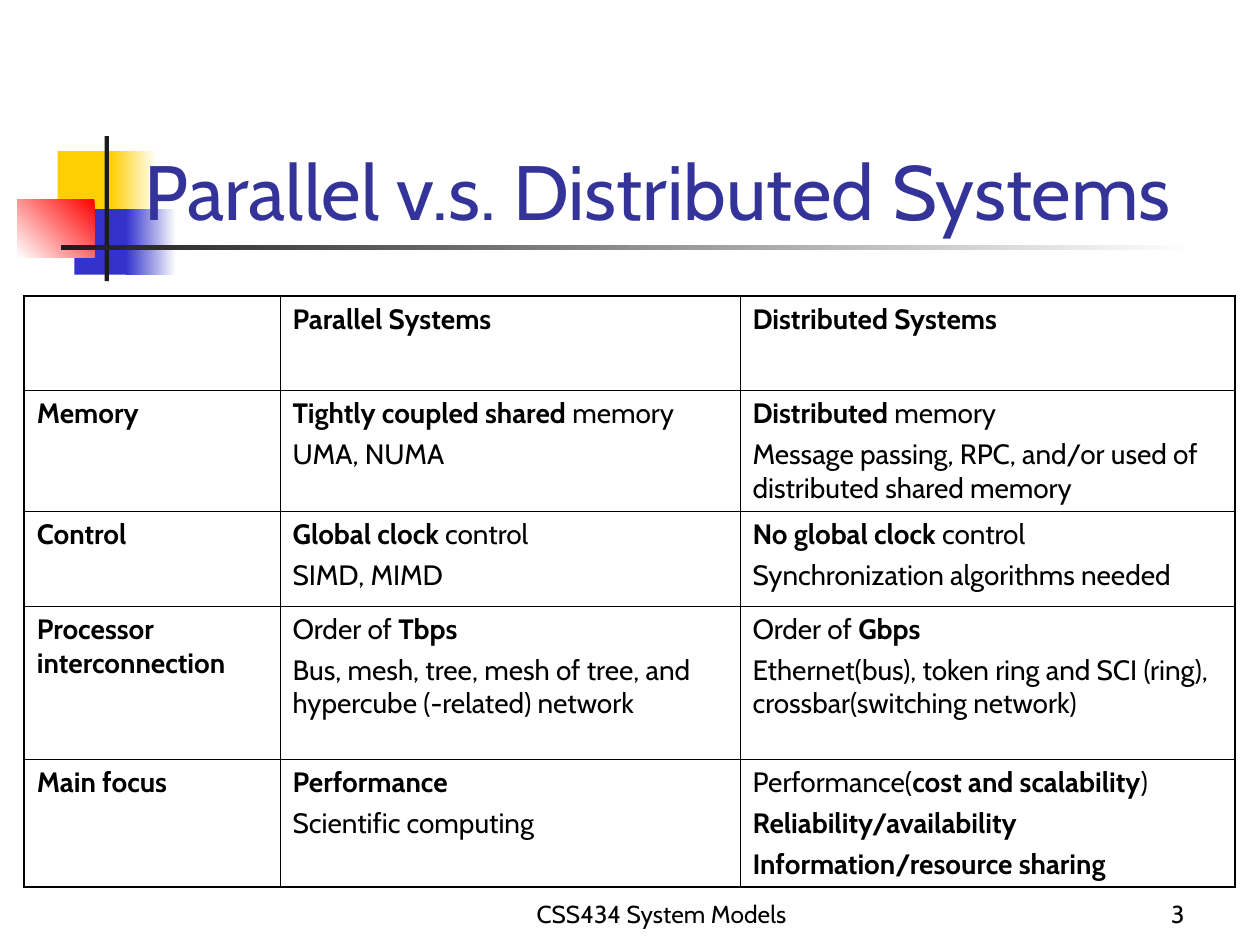
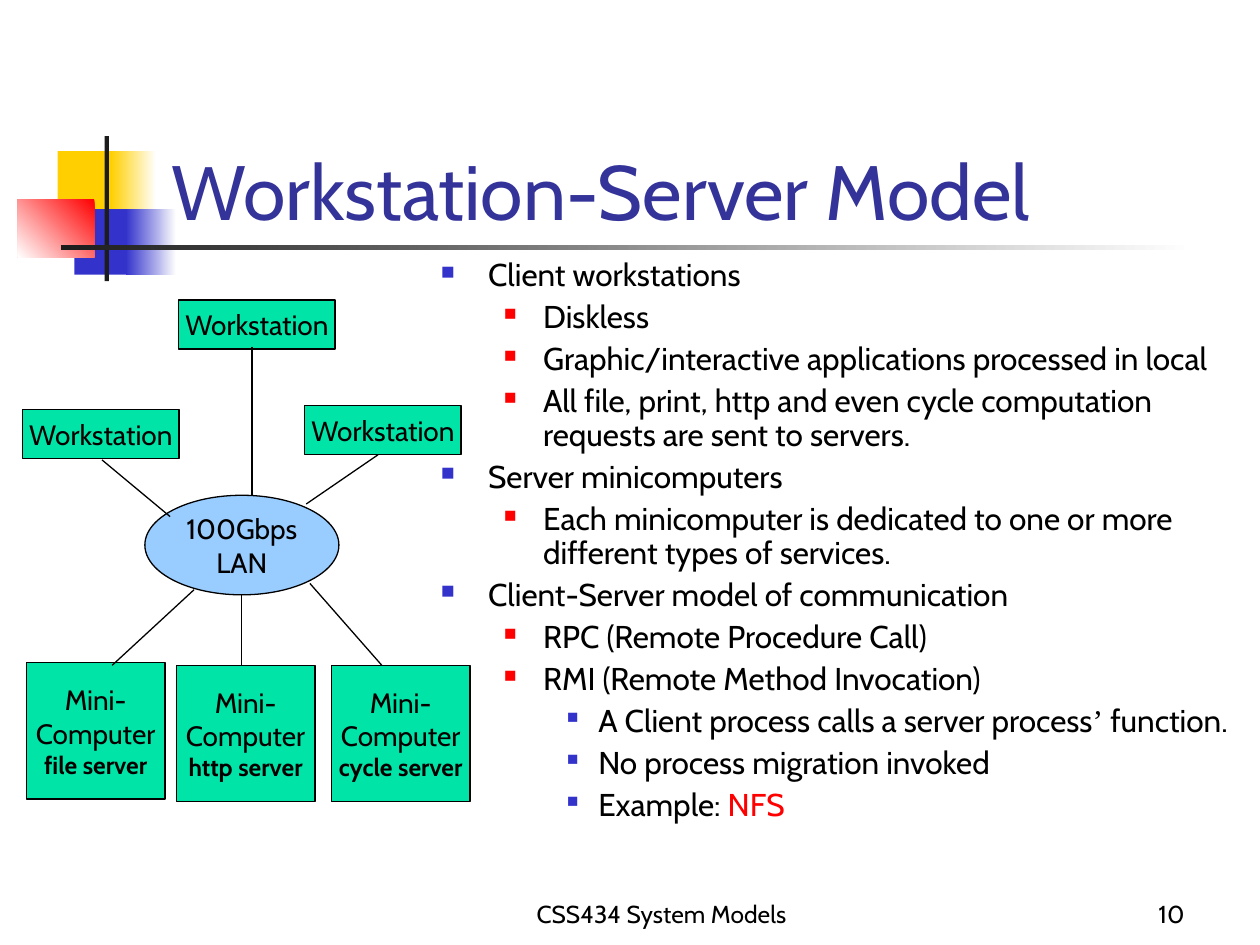
from dataclasses import dataclass
from functools import reduce

from lxml.etree import SubElement
from pptx import Presentation
from pptx.dml.color import RGBColor as RGB
from pptx.enum.shapes import MSO_CONNECTOR as Line, MSO_SHAPE as Preset
from pptx.enum.text import MSO_ANCHOR as Anchor, MSO_AUTO_SIZE as AutoSize, PP_ALIGN as Align
from pptx.oxml import parse_xml
from pptx.oxml.ns import nsdecls, qn
from pptx.util import Pt


@dataclass(frozen=True)
class Theme:
    font: str = "Cabin"
    quote_font: str = "Times New Roman"
    black: str = "000000"
    white: str = "FFFFFF"
    title: str = "333399"
    yellow: str = "FFCF01"
    blue: str = "3333CC"
    red: str = "FF0000"
    rule: str = "1C1C1C"
    machine: str = "00E4A8"
    network: str = "99CCFF"
    title_size: int = 44
    body_size: int = 18
    label_size: int = 16
    small_size: int = 14
    outline: float = 0.75
    outer_border: float = 1.08
    inner_border: float = 0.45


theme = Theme()


def put(target, formats):
    for key, value in formats.items():
        *parents, last = key.split(".")
        setattr(reduce(getattr, parents, target), last, value)


def write(frame, text, font, layout=None, accent=None):
    first = not frame.text
    paragraph = frame.paragraphs[0] if first else frame.add_paragraph()
    put(paragraph, layout or {})
    if first:
        paragraph.space_before = Pt(0)
    for index, piece in enumerate(text.split("|")):
        if piece:
            run = paragraph.add_run()
            run.text = piece
            put(run.font, {**font, **(accent or {})} if index % 2 else font)
    return paragraph


plain = {"name": theme.font, "color.rgb": RGB.from_string(theme.black), "bold": False}
title_font = {**plain, "size": Pt(theme.title_size), "color.rgb": RGB.from_string(theme.title)}
body_font = {**plain, "size": Pt(theme.body_size)}
label_font = {**plain, "size": Pt(theme.label_size)}
small_font = {**plain, "size": Pt(theme.small_size)}
bold = {"bold": True}
centred = {"alignment": Align.CENTER}

deck = Presentation()
put(deck, {"slide_width": Pt(720), "slide_height": Pt(540)})
title_only = deck.slide_layouts[5]

slides = []
for heading, number, left, width in [
    ("Parallel v.s. Distributed Systems", "3", 75.6, 644.4),
    ("Workstation-Server Model", "10", 90.7, 613.4),
]:
    slide = deck.slides.add_slide(title_only)
    slides.append(slide)
    title = slide.shapes.title
    put(title, {"left": Pt(left), "top": Pt(48.3), "width": Pt(width), "height": Pt(90)})
    put(title.text_frame, {"vertical_anchor": Anchor.BOTTOM, "auto_size": AutoSize.NONE, "word_wrap": True})
    write(title.text_frame, heading, title_font, {"alignment": Align.LEFT})
    for text, footer_left, footer_width, align in [
        ("CSS434 System Models", 264, 228, Align.CENTER),
        (number, 534, 150, Align.RIGHT),
    ]:
        footer = slide.shapes.add_textbox(Pt(footer_left), Pt(498), Pt(footer_width), Pt(36)).text_frame
        put(footer, {"word_wrap": True, "vertical_anchor": Anchor.BOTTOM})
        write(footer, text, small_font, {"alignment": align})

comparison, model = slides

for shape_id, (place, colours, angle) in enumerate([
    ((33, 86.4, 34.6, 37.4), [theme.yellow], None),
    ((63.4, 86.4, 25.9, 37.4), [theme.white, theme.yellow], 180),
    ((42.5, 119.5, 33.1, 37.4), [theme.blue], None),
    ((72, 119.5, 28.8, 37.4), [theme.white, theme.blue], 180),
    ((10.1, 113.8, 43.9, 33.1), [theme.red, theme.white], 225),
    ((59.8, 77.8, 2.4, 82.8), [theme.rule], None),
    ((34.6, 140.2, 648, 2.6), [theme.white, theme.rule], 180),
], start=20):
    block = comparison.shapes.add_shape(Preset.RECTANGLE, *map(Pt, place))
    block.shadow.inherit = False
    block.line.fill.background()
    if angle is None:
        block.fill.solid()
        block.fill.fore_color.rgb = RGB.from_string(colours[0])
    else:
        block.fill.gradient()
        block.fill.gradient_angle = angle
        for stop, colour in zip(block.fill.gradient_stops, colours):
            stop.color.rgb = RGB.from_string(colour)
    block.element.nvSpPr.cNvPr.id = shape_id
    title_only.shapes.element.append(block.element)

systems = [
    [[], ["|Parallel Systems|"], ["|Distributed Systems|"]],
    [
        ["|Memory|"],
        ["|Tightly coupled shared| memory", "UMA, NUMA"],
        ["|Distributed| memory", "Message passing, RPC, and/or used of distributed shared memory"],
    ],
    [
        ["|Control|"],
        ["|Global clock| control", "SIMD, MIMD"],
        ["|No global clock| control", "Synchronization algorithms needed"],
    ],
    [
        ["|Processor interconnection|"],
        ["Order of |Tbps|", "Bus, mesh, tree, mesh of tree, and hypercube (-related) network"],
        ["Order of |Gbps|", "Ethernet(bus), token ring and SCI (ring), crossbar(switching network)"],
    ],
    [
        ["|Main focus|"],
        ["|Performance|", "Scientific computing"],
        ["Performance(|cost and scalability|)", "|Reliability/availability|", "|Information/resource sharing|"],
    ],
]
widths = [146.2, 262.8, 283]
heights = [54, 69.1, 54, 87.8, 72.7]
table = comparison.shapes.add_table(
    len(heights), len(widths), Pt(13.9), Pt(169.2), Pt(sum(widths)), Pt(sum(heights))
).table
put(table, {"first_row": False, "horz_banding": False})
for column, width in zip(table.columns, widths):
    column.width = Pt(width)
for row, height in zip(table.rows, heights):
    row.height = Pt(height)

for r, entries in enumerate(systems):
    for c, lines in enumerate(entries):
        cell = table.cell(r, c)
        cell.fill.background()
        for text in lines:
            write(cell.text_frame, text, label_font, {"space_before": Pt(4)}, bold)
        outer_sides = {
            "lnL": c == 0,
            "lnR": c == len(widths) - 1,
            "lnT": r == 0,
            "lnB": r == len(heights) - 1,
        }
        for position, (side, outer) in enumerate(outer_sides.items()):
            weight = Pt(theme.outer_border if outer else theme.inner_border)
            cell._tc.get_or_add_tcPr().insert(position, parse_xml(
                f'<a:{side} {nsdecls("a")} w="{weight}"><a:solidFill>'
                f'<a:srgbClr val="{theme.black}"/></a:solidFill></a:{side}>'
            ))

outline_text = model.shapes.add_textbox(Pt(244.8), Pt(144.9), Pt(475.2), Pt(372.2)).text_frame
outline_text.word_wrap = True
bullet_levels = [
    (27, -27, theme.blue, 60),
    (58.5, -22.5, theme.red, 55),
    (90, -18, theme.blue, 50),
]
red_text = {"color.rgb": RGB.from_string(theme.red)}
quote = {"name": theme.quote_font}
for level, text, accent in [
    (0, "Client workstations", None),
    (1, "Diskless", None),
    (1, "Graphic/interactive applications processed in local", None),
    (1, "All file, print, http and even cycle computation requests are sent to servers.", None),
    (0, "Server minicomputers", None),
    (1, "Each minicomputer is dedicated to one or more different types of services.", None),
    (0, "Client-Server model of communication", None),
    (1, "RPC (Remote Procedure Call)", None),
    (1, "RMI (Remote Method Invocation)", None),
    (2, "A Client process calls a server process|’| function.", quote),
    (2, "No process migration invoked", None),
    (2, "Example: |NFS|", red_text),
]:
    spacing = {"level": level, "line_spacing": 0.9, "space_before": Pt(4.5)}
    point = write(outline_text, text, body_font, spacing, accent)
    margin, indent, colour, percent = bullet_levels[level]
    properties = point._p.get_or_add_pPr()
    properties.set("marL", str(Pt(margin)))
    properties.set("indent", str(Pt(indent)))
    SubElement(SubElement(properties, qn("a:buClr")), qn("a:srgbClr"), val=colour)
    SubElement(properties, qn("a:buSzPct"), val=str(percent * 1000))
    SubElement(properties, qn("a:buChar"), char="■")

workstation_size = (89.3, 28.1)
server_size = (79.2, 77.8)
nodes = [(Preset.OVAL, theme.network, (82.8, 283, 110.9, 56.9), ["100Gbps", "LAN"])]
for corner in [(102.2, 171.4), (13, 234), (174.2, 231.8)]:
    nodes.append((Preset.RECTANGLE, theme.machine, corner + workstation_size, ["Workstation"]))
for service, corner in [("file", (15.1, 378.7)), ("http", (100.8, 380.2)), ("cycle", (189.4, 380.2))]:
    server_lines = ["Mini-", "Computer", f"|{service} server|"]
    nodes.append((Preset.RECTANGLE, theme.machine, corner + server_size, server_lines))

for preset, colour, place, lines in nodes:
    node = model.shapes.add_shape(preset, *map(Pt, place))
    node.fill.solid()
    put(node, {
        "shadow.inherit": False,
        "fill.fore_color.rgb": RGB.from_string(colour),
        "line.color.rgb": RGB.from_string(theme.black),
        "line.width": Pt(theme.outline),
        "text_frame.word_wrap": False,
        "text_frame.vertical_anchor": Anchor.MIDDLE,
    })
    for text in lines:
        write(node.text_frame, text, label_font, centred, {**small_font, **bold})

for ends in [
    (110.9, 337, 64.1, 380.2),
    (138.2, 339.8, 138.2, 380.2),
    (177.1, 333.4, 218.2, 380.2),
    (144, 198, 144, 283.7),
    (58.3, 262.8, 97.2, 295.2),
    (216, 259.9, 175, 288),
]:
    link = model.shapes.add_connector(Line.STRAIGHT, *map(Pt, ends))
    put(link.line, {"color.rgb": RGB.from_string(theme.black), "width": Pt(theme.outline)})
    SubElement(link.element.spPr, qn("a:effectLst"))

deck.save("out.pptx")
